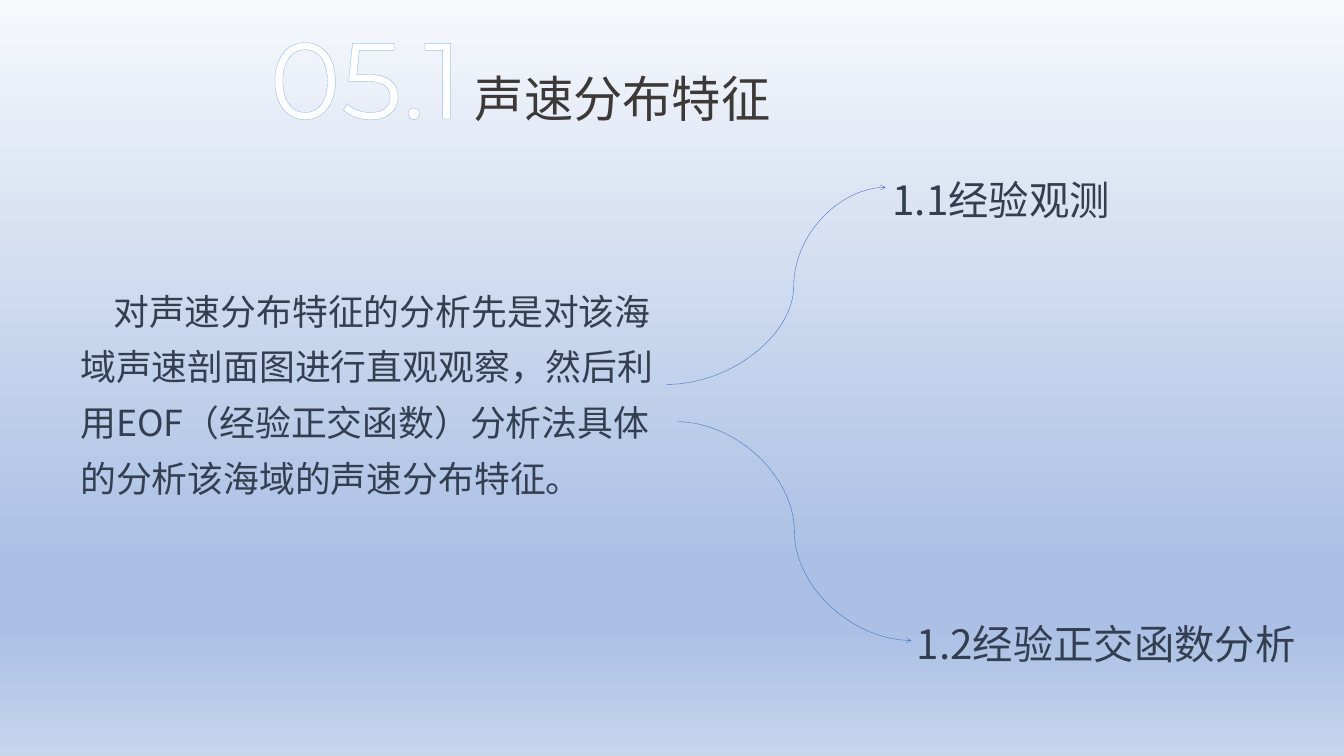
from dataclasses import dataclass

from lxml.etree import SubElement
from pptx import Presentation
from pptx.dml.color import RGBColor
from pptx.enum.shapes import MSO_CONNECTOR
from pptx.enum.text import MSO_AUTO_SIZE
from pptx.oxml import parse_xml
from pptx.oxml.ns import nsdecls, qn
from pptx.slide import Slide
from pptx.util import Pt


@dataclass(frozen=True)
class Theme:
    background: tuple = ((0, "F6F8FC"), (74, "ABC0E4"), (83, "ABC0E4"), (100, "C7D5ED"))
    ink: str = "333F50"
    title_ink: str = "3D3938"
    number_fill: str = "FFFFFF"
    number_outline: str = "5B9BD5"
    arrow: str = "4472C4"
    text_font: str = "Noto Sans CJK SC"
    title_font: str = "Montserrat"
    number_size: float = 144.4
    title_size: float = 65.7
    label_size: float = 53.8
    body_size: float = 47.8


THEME = Theme()


@dataclass(frozen=True)
class TextBlock:
    text: str
    left: float
    top: float
    width: float
    height: float
    size: float
    color: str = THEME.ink
    font: str = THEME.text_font
    line_spacing: float = 1.0
    first_indent: float = 0
    outline: str = ""


@dataclass(frozen=True)
class CurvedArrow:
    start: tuple[float, float]
    end: tuple[float, float]
    bend: float  # share of the width at which the curve turns


TEXTS = (
    TextBlock("对声速分布特征的分析先是对该海域声速剖面图进行直观观察，然后利用EOF（经验正交函数）"
              "分析法具体的分析该海域的声速分布特征。",
              100, 365, 807, 308, THEME.body_size, line_spacing=1.3, first_indent=44),
    TextBlock("声速分布特征", 626, 63.4, 603, 102, THEME.title_size,
              THEME.title_ink, THEME.title_font, line_spacing=1.3),
    TextBlock("05.1", 352, 10.8, 460, 182, THEME.number_size,
              THEME.number_fill, THEME.title_font, outline=THEME.number_outline),
    TextBlock("1.1经验观测", 1183, 230.4, 473, 72, THEME.label_size),
    TextBlock("1.2经验正交函数分析", 1215.4, 821.5, 537, 72, THEME.label_size),
)
ARROWS = (
    CurvedArrow((889.2, 512.6), (1180.8, 249.8), 0.58),
    CurvedArrow((902.9, 562.3), (1215.4, 853.9), 0.5),
)


def paint_background(slide: Slide) -> None:
    """Fill the slide with the vertical four-stop gradient."""
    slide.background.fill.gradient()
    gradient = slide.background._cSld.find(".//" + qn("a:gradFill"))
    for child in list(gradient):
        gradient.remove(child)
    stops = SubElement(gradient, qn("a:gsLst"))
    for position, color in THEME.background:
        stop = SubElement(stops, qn("a:gs"), pos=str(position * 1000))
        SubElement(stop, qn("a:srgbClr"), val=color)
    SubElement(gradient, qn("a:lin"), ang="5400000", scaled="0")


def add_text(slide: Slide, block: TextBlock) -> None:
    box = slide.shapes.add_textbox(
        Pt(block.left), Pt(block.top), Pt(block.width), Pt(block.height))
    frame = box.text_frame
    frame.word_wrap = True
    frame.auto_size = MSO_AUTO_SIZE.SHAPE_TO_FIT_TEXT
    frame.text = block.text
    paragraph = frame.paragraphs[0]
    paragraph.line_spacing = block.line_spacing
    if block.first_indent:
        paragraph._p.get_or_add_pPr().set("indent", str(Pt(block.first_indent)))
    run = paragraph.runs[0]
    run.font.size = Pt(block.size)
    run.font.name = block.font
    run.font.color.rgb = RGBColor.from_string(block.color)
    properties = run._r.get_or_add_rPr()
    properties.find(qn("a:latin")).addnext(
        parse_xml(f'<a:ea {nsdecls("a")} typeface="{THEME.text_font}"/>'))
    if block.outline:
        properties.insert(0, parse_xml(
            f'<a:ln {nsdecls("a")} w="{Pt(0.8)}"><a:solidFill>'
            f'<a:srgbClr val="{block.outline}"/></a:solidFill></a:ln>'))


def add_curved_arrow(slide: Slide, arrow: CurvedArrow) -> None:
    connector = slide.shapes.add_connector(
        MSO_CONNECTOR.CURVE, *map(Pt, arrow.start + arrow.end))
    connector.line.color.rgb = RGBColor.from_string(THEME.arrow)
    connector.line.width = Pt(0.5)
    properties = connector._element.spPr
    SubElement(properties.find(qn("a:ln")), qn("a:tailEnd"), type="arrow")
    SubElement(properties, qn("a:effectLst"))
    adjustments = properties.find(qn("a:prstGeom")).get_or_add_avLst()
    SubElement(adjustments, qn("a:gd"), name="adj1",
               fmla=f"val {round(arrow.bend * 100000)}")


def main() -> None:
    deck = Presentation()
    deck.slide_width, deck.slide_height = Pt(1792), Pt(1008)
    slide = deck.slides.add_slide(deck.slide_layouts[6])
    paint_background(slide)
    for block in TEXTS:
        add_text(slide, block)
    for arrow in ARROWS:
        add_curved_arrow(slide, arrow)
    deck.save("out.pptx")


if __name__ == "__main__":
    main()
